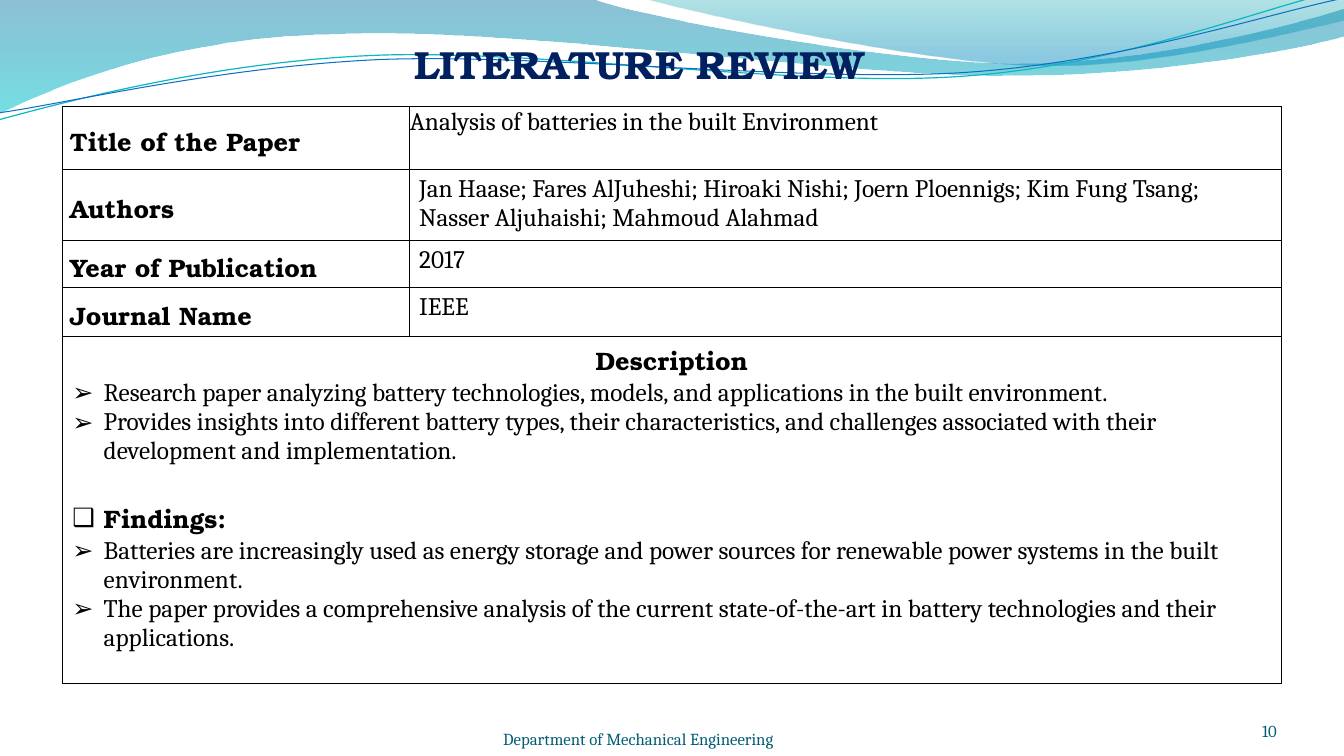
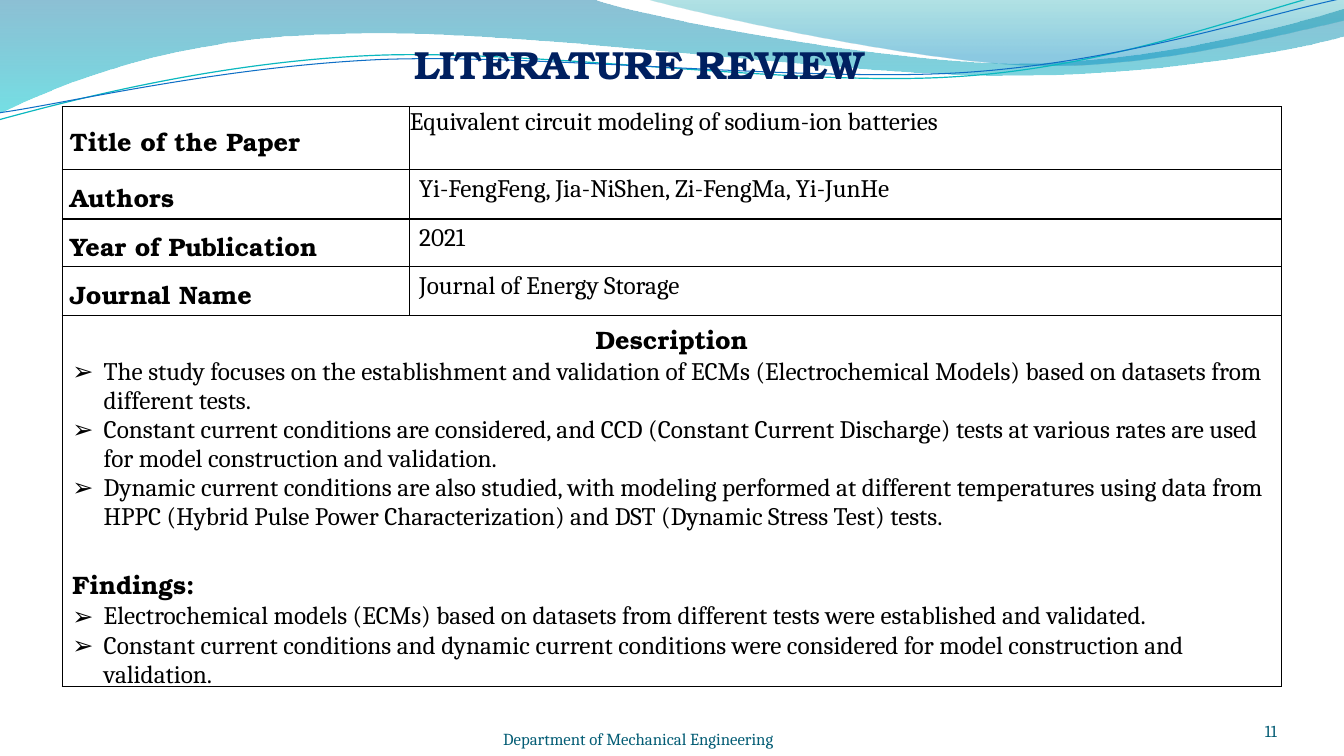
from dataclasses import dataclass

from lxml.etree import SubElement
from pptx import Presentation
from pptx.dml.color import RGBColor as Color
from pptx.enum.text import MSO_ANCHOR as Anchor, MSO_AUTO_SIZE as AutoSize, PP_ALIGN as Align
from pptx.oxml.ns import qn
from pptx.util import Cm, Pt


@dataclass(frozen=True)
class Theme:
    ink: str = "000000"
    title: str = "002060"
    footer: str = "045D75"
    heading_font: str = "TeX Gyre Bonum"
    body_font: str = "Cambria"
    bullet_font: str = "Arial"
    title_size: int = 28
    body_size: int = 18
    footer_size: int = 12
    border_width: int = 1
    findings_gap: int = 24
    bullet_indent: float = 0.79


theme = Theme()

WAVES = [
    {"points": [(0, 0), (14.91, -0.03), (16.1, 0.43, 22.48, 1.6, 25.68, 1.6),
                (28.91, 1.6, 32.46, 0.66, 33.86, 0.23), (33.91, 0.91),
                (33.3, 1.12, 29.46, 1.93, 25.25, 1.91),
                (21.06, 1.91, 12.93, 0.71, 8.71, 0.86),
                (4.37, 0.91, 1.55, 2.11, -0.03, 2.87), (0, 0)],
     "stops": [(0, "0074A1", 45), (1, "00C6CF", 55)]},
    {"points": [(16.23, -0.03), (17.25, 0.28, 23.09, 1.57, 26.04, 1.65),
                (28.98, 1.75, 32.56, 0.81, 33.86, 0.53), (33.86, 0), (16.23, -0.03)],
     "stops": [(0, "00A1A9", 30), (0.8, "008BBF", 45)]},
    {"points": [(-0.03, 3.02), (1.63, 2.57, 5.36, 1.57, 9.37, 1.4),
                (13.39, 1.22, 20.07, 2.21, 24.13, 1.93),
                (28.19, 1.68, 31.8, 0.2, 33.81, -0.25)],
     "line": ("0AB8BF", 0.85)},
    {"points": [(0, 2.84), (1.6, 2.62, 5.54, 1.68, 9.6, 1.5),
                (13.64, 1.35, 20.22, 2.08, 24.26, 1.83),
                (28.32, 1.57, 31.88, 0.36, 33.88, -0.05)],
     "line": ("0F6FC6", 0.75)},
]

LABELS = ["Title of the Paper", "Authors", "Year of Publication", "Journal Name"]
COLUMN_WIDTHS = [8.74, 21.98]
FACT_HEIGHTS = [1.59, 1.24, 1.19, 1.24]

PAPERS = [
    {"number": "10",
     "facts": ["Analysis of batteries in the built Environment",
               "Jan Haase; Fares AlJuheshi; Hiroaki Nishi; Joern Ploennigs; Kim Fung Tsang; "
               "Nasser Aljuhaishi; Mahmoud Alahmad",
               "2017", "IEEE"],
     "description": [
         "Research paper analyzing battery technologies, models, and applications in the built "
         "environment.",
         "Provides insights into different battery types, their characteristics, and challenges "
         "associated with their development and implementation."],
     "findings_mark": "❑",
     "findings": [
         "Batteries are increasingly used as energy storage and power sources for renewable power "
         "systems in the built environment.",
         "The paper provides a comprehensive analysis of the current state-of-the-art in battery "
         "technologies and their applications."],
     "height": 8.74},
    {"number": "11",
     "facts": ["Equivalent circuit modeling of sodium-ion batteries",
               "Yi-FengFeng, Jia-NiShen, Zi-FengMa, Yi-JunHe",
               "2021", "Journal of Energy Storage"],
     "description": [
         "The study focuses on the establishment and validation of ECMs (Electrochemical Models) "
         "based on datasets from different tests.",
         "Constant current conditions are considered, and CCD (Constant Current Discharge) tests "
         "at various rates are used for model construction and validation.",
         "Dynamic current conditions are also studied, with modeling performed at different "
         "temperatures using data from HPPC (Hybrid Pulse Power Characterization) and DST "
         "(Dynamic Stress Test) tests."],
     "findings_mark": None,
     "findings": [
         "Electrochemical models (ECMs) based on datasets from different tests were established "
         "and validated.",
         "Constant current conditions and dynamic current conditions were considered for model "
         "construction and validation."],
     "height": 7.34},
]


def write(para, text, size=theme.body_size, color=theme.ink, heading=False):
    span = para.add_run()
    span.text = text
    span.font.size = Pt(size)
    span.font.bold = heading
    span.font.name = theme.heading_font if heading else theme.body_font
    span.font.color.rgb = Color.from_string(color)


def draw_curve(page, points, closed):
    corners = [(Cm(point[i]), Cm(point[i + 1]))
               for point in points for i in range(0, len(point), 2)]
    builder = page.shapes.build_freeform(*corners[0])
    builder.add_line_segments(corners[1:], close=closed)
    shape = builder.convert_to_shape()
    segments = shape.element.spPr.iter(qn("a:lnTo"))
    segments = iter(list(segments))
    for point in points[1:]:
        segment = next(segments)
        if len(point) == 6:
            segment.tag = qn("a:cubicBezTo")
            for _ in range(2):
                extra = next(segments)
                segment.append(extra[0])
                extra.getparent().remove(extra)
    return shape


deck = Presentation()
deck.slide_width, deck.slide_height = Cm(33.87), Cm(19.05)
layout = deck.slide_layouts[5]
title_slot = layout.placeholders[0]
title_slot.left, title_slot.top = Cm(10.18), Cm(0.89)
title_slot.width, title_slot.height = Cm(13.51), Cm(1.45)
pages = [deck.slides.add_slide(layout) for paper in PAPERS]

for wave in WAVES:
    shape = draw_curve(pages[0], wave["points"], "stops" in wave)
    shape.shadow.inherit = False
    if "stops" in wave:
        shape.line.fill.background()
        shape.fill.gradient()
        shape.fill.gradient_angle = 270
        for stop, (position, color, _) in zip(shape.fill.gradient_stops, wave["stops"]):
            stop.position = position
            stop.color.rgb = Color.from_string(color)
        for node, (_, _, opacity) in zip(shape.element.spPr.iter(qn("a:srgbClr")), wave["stops"]):
            SubElement(node, qn("a:alpha")).set("val", str(opacity * 1000))
    else:
        color, width = wave["line"]
        shape.fill.background()
        shape.line.color.rgb = Color.from_string(color)
        shape.line.width = Pt(width)
    deck.slide_master.shapes.element.append(shape.element)

for page, paper in zip(pages, PAPERS):
    frame = page.shapes.title.text_frame
    frame.auto_size = AutoSize.NONE
    frame.vertical_anchor = Anchor.TOP
    frame.paragraphs[0].alignment = Align.LEFT
    write(frame.paragraphs[0], "LITERATURE REVIEW", theme.title_size, theme.title, heading=True)

    for text, left, top, width, alignment in [
        ("Department of Mechanical Engineering", 9.88, 17.86, 12.42, Align.CENTER),
        (paper["number"], 29.36, 17.65, 2.82, Align.RIGHT),
    ]:
        box = page.shapes.add_textbox(Cm(left), Cm(top), Cm(width), Cm(1.02))
        frame = box.text_frame
        frame.word_wrap = True
        frame.vertical_anchor = Anchor.BOTTOM
        frame.margin_left = frame.margin_right = frame.margin_top = frame.margin_bottom = 0
        frame.paragraphs[0].alignment = alignment
        write(frame.paragraphs[0], text, theme.footer_size, theme.footer)

    heights = FACT_HEIGHTS + [paper["height"]]
    table = page.shapes.add_table(len(heights), len(COLUMN_WIDTHS), Cm(1.57), Cm(2.69),
                                  Cm(sum(COLUMN_WIDTHS)), Cm(sum(heights))).table
    table.first_row = table.horz_banding = False
    for column, width in zip(table.columns, COLUMN_WIDTHS):
        column.width = Cm(width)
    for row, height in zip(table.rows, heights):
        row.height = Cm(height)
    for cell in table.iter_cells():
        properties = cell._tc.get_or_add_tcPr()
        for side in ("a:lnL", "a:lnR", "a:lnT", "a:lnB"):
            border = SubElement(properties, qn(side), w=str(Pt(theme.border_width)))
            SubElement(SubElement(border, qn("a:solidFill")), qn("a:srgbClr"), val=theme.ink)
        cell.fill.background()

    for index, (label, fact) in enumerate(zip(LABELS, paper["facts"])):
        label_cell, fact_cell = table.cell(index, 0), table.cell(index, 1)
        label_cell.vertical_anchor = Anchor.MIDDLE
        label_cell.margin_left = label_cell.margin_right = Cm(0.19)
        label_cell.margin_top = label_cell.margin_bottom = 0
        para = label_cell.text_frame.paragraphs[0]
        para.line_spacing = 1.15
        write(para, label, heading=True)
        write(fact_cell.text_frame.paragraphs[0], fact)
    paper_title = table.cell(0, 1)
    paper_title.margin_left = paper_title.margin_right = paper_title.margin_top = Cm(0.02)
    paper_title.margin_bottom = 0

    summary = table.cell(len(LABELS), 0)
    summary.merge(table.cell(len(LABELS), 1))
    summary.margin_bottom = 0
    frame = summary.text_frame
    frame.paragraphs[0].alignment = Align.CENTER
    write(frame.paragraphs[0], "Description", heading=True)
    lines = [(text, "➢", False) for text in paper["description"]]
    lines.append(("Findings:", paper["findings_mark"], True))
    lines += [(text, "➢", False) for text in paper["findings"]]
    for text, mark, heading in lines:
        para = frame.add_paragraph()
        if heading:
            para.space_before = Pt(theme.findings_gap)
        if mark:
            properties = para._p.get_or_add_pPr()
            properties.set("marL", str(Cm(theme.bullet_indent)))
            properties.set("indent", str(-Cm(theme.bullet_indent)))
            SubElement(properties, qn("a:buFont"), typeface=theme.bullet_font)
            SubElement(properties, qn("a:buChar"), char=mark)
        write(para, text, heading=heading)

deck.save("out.pptx")
